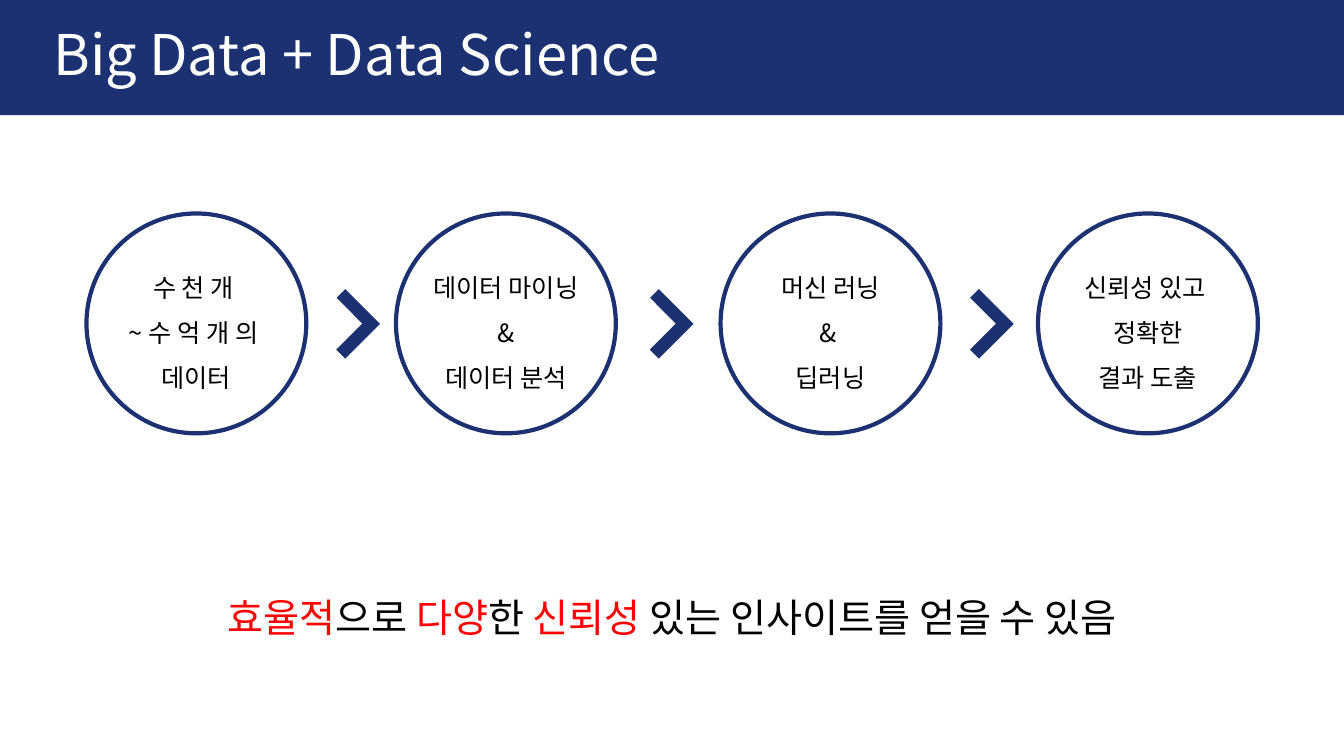
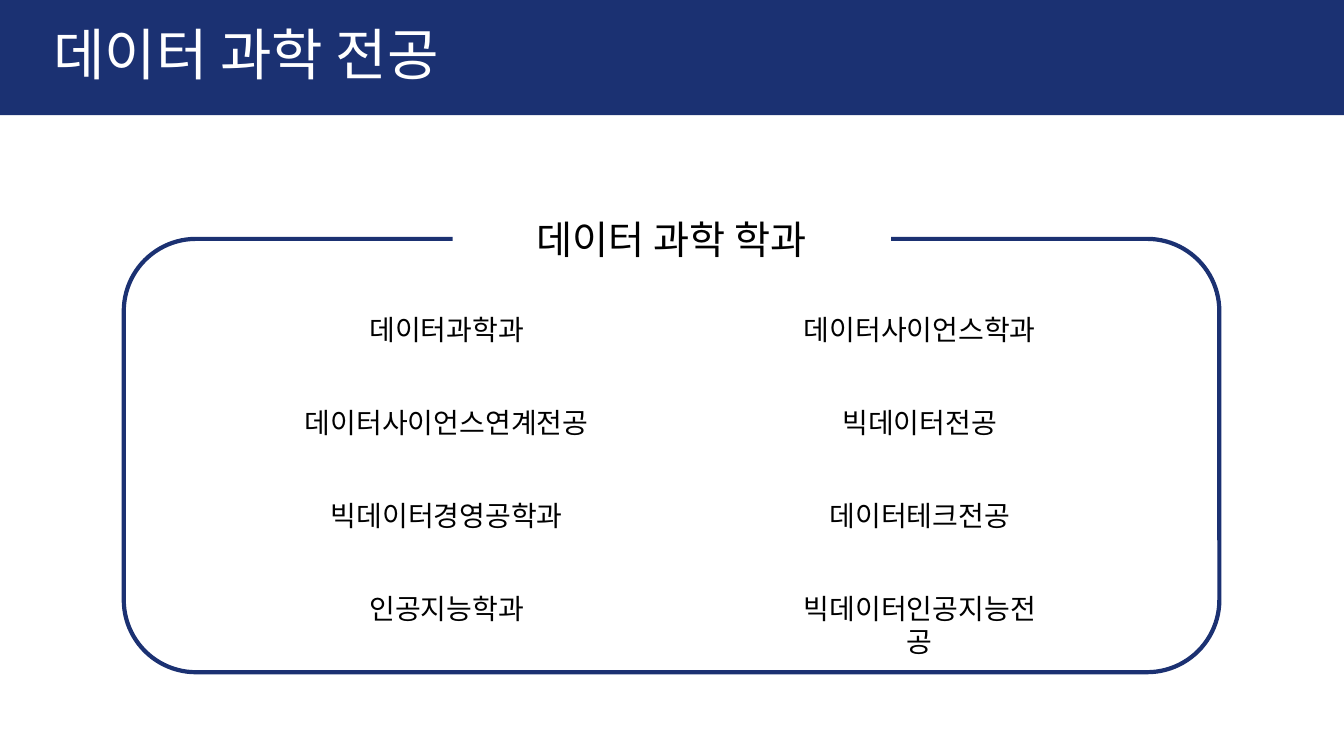
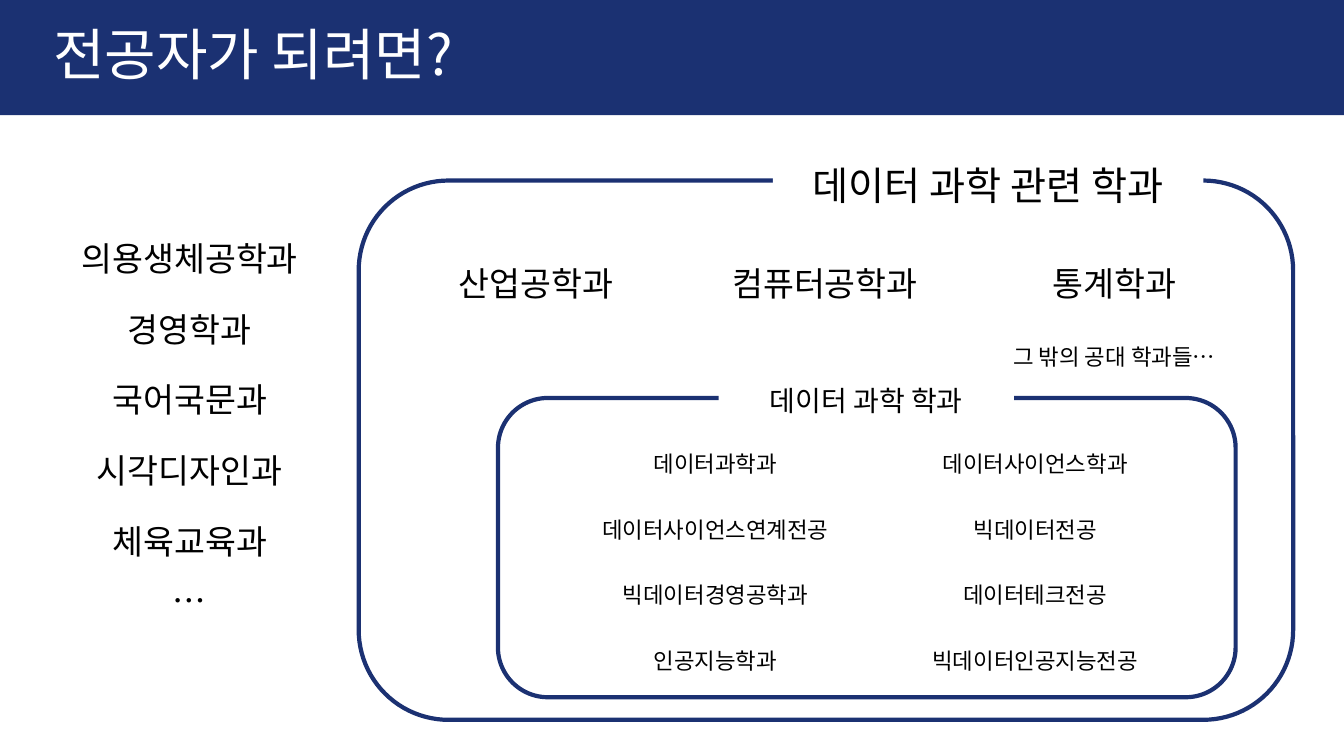
from dataclasses import dataclass

from lxml.etree import SubElement
from pptx import Presentation
from pptx.dml.color import RGBColor
from pptx.enum.shapes import MSO_SHAPE as Preset
from pptx.enum.text import MSO_ANCHOR as Anchor, MSO_AUTO_SIZE as AutoSize, PP_ALIGN as Align
from pptx.oxml.ns import qn
from pptx.presentation import Presentation as Deck
from pptx.shapes.autoshape import Shape
from pptx.slide import Slide
from pptx.text.text import Font
from pptx.util import Cm, Pt


@dataclass(frozen=True)
class Theme:
    navy: RGBColor = RGBColor(0x1B, 0x31, 0x72)
    white: RGBColor = RGBColor(0xFF, 0xFF, 0xFF)
    black: RGBColor = RGBColor(0, 0, 0)
    red: RGBColor = RGBColor(0xFF, 0, 0)
    font: str = "Noto Sans CJK KR"
    title: int = 40
    heading: int = 28
    subject: int = 24
    item: int = 20
    stage: int = 18
    small: int = 16
    outline: int = 3


THEME = Theme()
SLIDE_WIDTH, SLIDE_HEIGHT = 33.87, 19.05


@dataclass(frozen=True)
class Box:
    """Place and size in centimetres."""
    left: float
    top: float
    width: float
    height: float

    def lengths(self) -> tuple[Cm, Cm, Cm, Cm]:
        return Cm(self.left), Cm(self.top), Cm(self.width), Cm(self.height)


@dataclass(frozen=True)
class Label:
    """Centred text: middle, top and width in centimetres."""
    text: str
    middle: float
    top: float
    width: float
    size: int
    spacing: float = 1.0
    masked: bool = False


@dataclass(frozen=True)
class Column:
    middle: float
    width: float
    entries: tuple[str, ...]


@dataclass(frozen=True)
class Stage:
    left: float
    text: str


BAND = Box(0, 0, SLIDE_WIDTH, 2.9)
TITLE = Box(1.09, 0.13, 31.67, 2.62)

# Slide 1 content
CIRCLE, CIRCLE_TOP = 5.54, 5.38
STAGES = (
    Stage(2.18, "수 천 개 \n~ 수 억 개 의 \n데이터"),
    Stage(9.98, "데이터 마이닝\n&\n데이터 분석"),
    Stage(18.16, "머신 러닝\n& \n딥러닝"),
    Stage(26.16, "신뢰성 있고 \n정확한\n결과 도출"),
)
CHEVRON, CHEVRON_TOP = 1.24, 7.54
CHEVRON_LEFTS = (8.08, 15.98, 24.05)
CONCLUSION = (
    ("효율적", THEME.red), ("으로 ", THEME.black),
    ("다양", THEME.red), ("한 ", THEME.black),
    ("신뢰성", THEME.red), (" 있는 인사이트를 얻을 수 있음", THEME.black),
)

# Content of slides 2 and 3
DATA_SCIENCE = "데이터 과학 학과"
LEFT_MAJORS = ("데이터과학과", "데이터사이언스연계전공", "빅데이터경영공학과", "인공지능학과")
RIGHT_MAJORS = ("데이터사이언스학과", "빅데이터전공", "데이터테크전공", "빅데이터인공지능전공")
RELATED = ("산업공학과", "컴퓨터공학과", "통계학과")
UNRELATED = ("의용생체공학과", "경영학과", "국어국문과", "시각디자인과", "체육교육과")


# Shared drawing functions
def style_font(font: Font, size: int, color: RGBColor) -> None:
    font.size = Pt(size)
    font.name = THEME.font
    font.color.rgb = color
    SubElement(font._element, qn("a:ea")).set("typeface", THEME.font)


def add_filled(slide: Slide, preset: Preset, box: Box) -> Shape:
    shape = slide.shapes.add_shape(preset, *box.lengths())
    shape.shadow.inherit = False
    shape.fill.solid()
    shape.fill.fore_color.rgb = THEME.navy
    shape.line.fill.background()
    return shape


def add_outline(slide: Slide, preset: Preset, box: Box) -> None:
    shape = slide.shapes.add_shape(preset, *box.lengths())
    shape.shadow.inherit = False
    shape.fill.background()
    shape.line.color.rgb = THEME.navy
    shape.line.width = Pt(THEME.outline)


def add_label(slide: Slide, label: Label) -> Shape:
    lines = label.text.count("\n") + 1
    height = 0.25 + lines * label.size * label.spacing * 0.04
    place = Box(label.middle - label.width / 2, label.top, label.width, height)
    text_box = slide.shapes.add_textbox(*place.lengths())
    if label.masked:
        text_box.fill.solid()
        text_box.fill.fore_color.rgb = THEME.white
    frame = text_box.text_frame
    frame.word_wrap = True
    frame.auto_size = AutoSize.SHAPE_TO_FIT_TEXT
    frame.text = label.text
    for paragraph in frame.paragraphs:
        paragraph.alignment = Align.CENTER
        paragraph.line_spacing = label.spacing
        for run in paragraph.runs:
            style_font(run.font, label.size, THEME.black)
    return text_box


def add_titled_slide(deck: Deck, text: str) -> Slide:
    slide = deck.slides.add_slide(deck.slide_layouts.get_by_name("Title Only"))
    band = add_filled(slide, Preset.RECTANGLE, BAND)
    slide.shapes.element.insert(2, band.element)  # behind the title
    title = slide.shapes.title
    title.left, title.top, title.width, title.height = TITLE.lengths()
    frame = title.text_frame
    frame.text = text
    frame.word_wrap = True
    frame.auto_size = AutoSize.NONE
    frame.vertical_anchor = Anchor.MIDDLE
    heading = frame.paragraphs[0]
    heading.alignment = Align.LEFT
    heading.line_spacing = 0.9
    style_font(heading.runs[0].font, THEME.title, THEME.white)
    return slide


def add_framed_group(slide: Slide, frame: Box, heading: Label) -> None:
    add_outline(slide, Preset.ROUNDED_RECTANGLE, frame)
    add_label(slide, heading)


def add_columns(slide: Slide, columns: tuple[Column, ...], top: float,
                pitch: float, size: int) -> None:
    for column in columns:
        for row, entry in enumerate(column.entries):
            add_label(slide, Label(entry, column.middle, top + row * pitch, column.width, size))


# Slides
def build_process(deck: Deck) -> None:
    slide = add_titled_slide(deck, "Big Data + Data Science")
    for stage in STAGES:
        middle = stage.left + CIRCLE / 2
        add_label(slide, Label(stage.text, middle, 6.35, 6.3, THEME.stage, spacing=1.5))
        add_outline(slide, Preset.OVAL, Box(stage.left, CIRCLE_TOP, CIRCLE, CIRCLE))

    conclusion = add_label(slide, Label("", SLIDE_WIDTH / 2, 14.83, 23.27, THEME.heading))
    for words, color in CONCLUSION:
        run = conclusion.text_frame.paragraphs[0].add_run()
        run.text = words
        style_font(run.font, THEME.heading, color)

    for left in CHEVRON_LEFTS:
        chevron = add_filled(slide, Preset.CORNER, Box(left, CHEVRON_TOP, CHEVRON, CHEVRON))
        chevron.adjustments[0], chevron.adjustments[1] = 0.25, 0.26
        chevron.rotation = 225


def build_majors(deck: Deck) -> None:
    slide = add_titled_slide(deck, "데이터 과학 전공")
    add_framed_group(slide, Box(3.12, 6.02, 27.61, 10.92),
                     Label(DATA_SCIENCE, 16.93, 5.31, 11.05, THEME.heading, masked=True))
    columns = (Column(11.26, 7.7, LEFT_MAJORS), Column(23.18, 6.96, RIGHT_MAJORS))
    add_columns(slide, columns, 7.75, 2.34, THEME.item)


def build_paths(deck: Deck) -> None:
    slide = add_titled_slide(deck, "전공자가 되려면?")

    # Related departments, with the data science ones inside
    add_framed_group(slide, Box(9.04, 4.55, 23.55, 13.59),
                     Label("데이터 과학 관련 학과", 24.9, 3.94, 10.85, THEME.heading, masked=True))
    for index, department in enumerate(RELATED):
        add_label(slide, Label(department, 13.5 + index * 7.29, 6.5, 8.1, THEME.subject))
    add_label(slide, Label("그 밖의 공대 학과들…", 28.08, 8.51, 8.1, THEME.small))

    add_framed_group(slide, Box(12.55, 10.03, 18.59, 7.54),
                     Label(DATA_SCIENCE, 21.83, 9.53, 7.44, THEME.item, masked=True))
    columns = (Column(18.03, 6.32, LEFT_MAJORS), Column(26.09, 5.97, RIGHT_MAJORS))
    add_columns(slide, columns, 11.23, 1.65, THEME.small)

    # Departments outside the field
    outside = Column(4.78, 6.32, UNRELATED)
    add_columns(slide, (outside,), 5.87, 1.78, THEME.subject)
    add_label(slide, Label("…", outside.middle, 14.48, outside.width, THEME.subject))


def main() -> None:
    deck = Presentation()
    deck.slide_width, deck.slide_height = Cm(SLIDE_WIDTH), Cm(SLIDE_HEIGHT)
    build_process(deck)
    build_majors(deck)
    build_paths(deck)
    deck.save("out.pptx")


if __name__ == "__main__":
    main()
